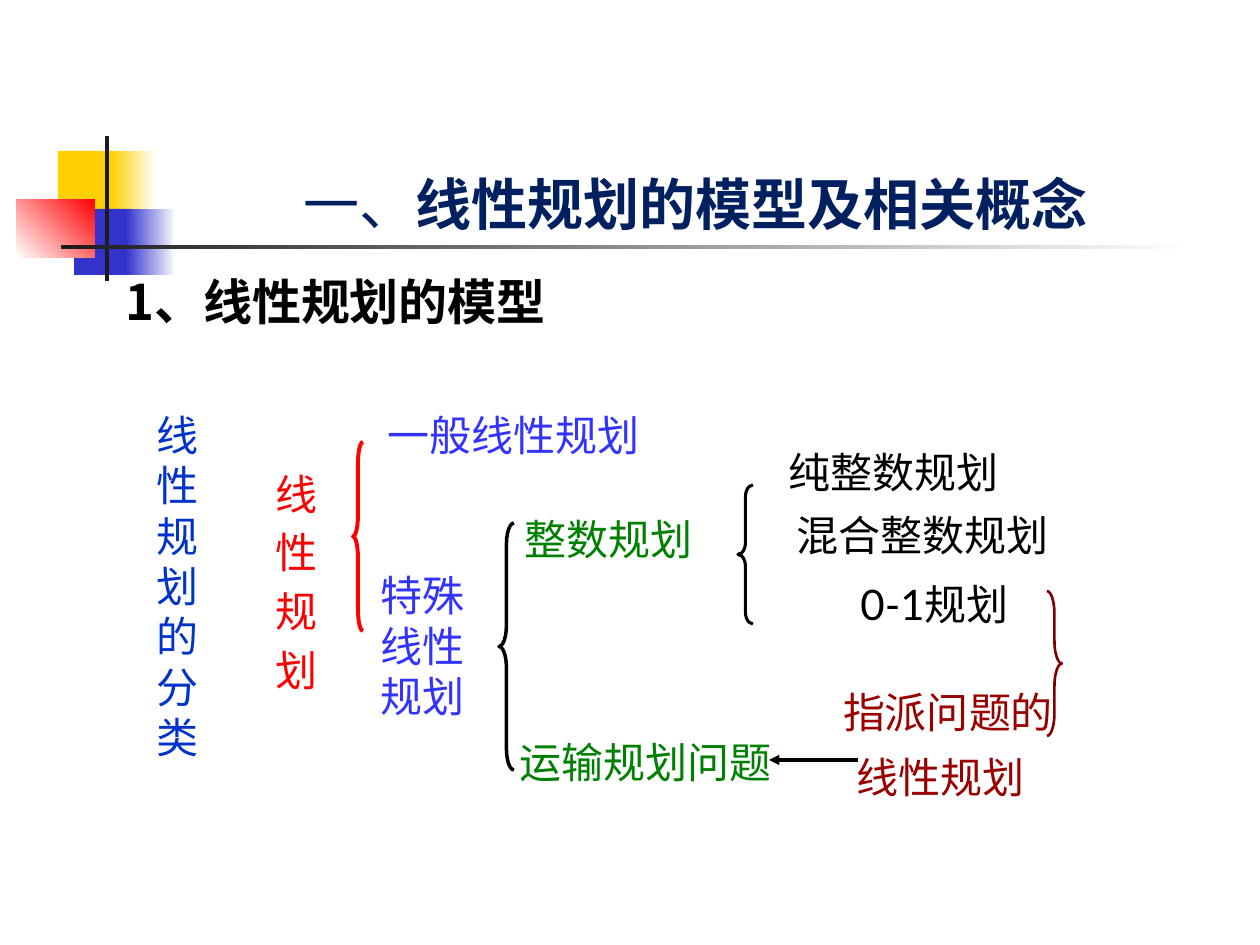
from dataclasses import dataclass

from lxml import etree
from pptx import Presentation
from pptx import util as u
from pptx.dml.color import RGBColor
from pptx.enum import shapes, text
from pptx.oxml import ns

PX = 914400 / 126


@dataclass(frozen=True)
class Theme:
    """Colours, fonts and type sizes of the slide."""
    yellow: str = "FFCF01"
    indigo: str = "3333CC"
    white: str = "FFFFFF"
    red: str = "FF0000"
    bar: str = "1C1C1C"
    navy: str = "002060"
    topic: str = "0033CC"
    branch: str = "3333FF"
    green: str = "008000"
    crimson: str = "990000"
    maroon: str = "800000"
    black: str = "000000"
    latin: str = "Lato"
    cjk: str = "Noto Sans CJK SC"
    title: int = 32
    heading: int = 28
    body: int = 24


T = Theme()


def px(*lengths):
    """Turn pixel lengths into EMU."""
    return [u.Emu(round(n * PX)) for n in lengths]


def add_block(slide, box, start, end=None, angle=0):
    """Add a borderless rectangle, solid or fading from start to end."""
    block = slide.shapes.add_shape(shapes.MSO_SHAPE.RECTANGLE, *px(*box))
    block.shadow.inherit = False
    block.line.fill.background()
    if end is None:
        block.fill.solid()
        block.fill.fore_color.rgb = RGBColor.from_string(start)
        return
    block.fill.gradient()
    block.fill.gradient_angle = angle
    for stop, color in zip(block.fill.gradient_stops, (start, end)):
        stop.color.rgb = RGBColor.from_string(color)


def add_brace(slide, box, color, weight, curl, right=False):
    """Add a curly brace that groups neighbouring labels."""
    kind = shapes.MSO_SHAPE.RIGHT_BRACE if right else shapes.MSO_SHAPE.LEFT_BRACE
    brace = slide.shapes.add_shape(kind, *px(*box))
    brace.shadow.inherit = False
    brace.fill.background()
    brace.line.color.rgb = RGBColor.from_string(color)
    brace.line.width = u.Pt(weight)
    brace.adjustments[0] = curl
    brace.adjustments[1] = 0.5


def add_text(slide, box, paragraphs, color=T.black, size=T.body, font=T.latin, bold=False,
             wrap=False, grow=True, anchor="MIDDLE", align="LEFT", before=0, after=0):
    """Add text; a paragraph is a string or a list of (string, run overrides)."""
    frame = slide.shapes.add_textbox(*px(*box)).text_frame
    frame.word_wrap = wrap
    frame.auto_size = text.MSO_AUTO_SIZE.SHAPE_TO_FIT_TEXT if grow else text.MSO_AUTO_SIZE.NONE
    frame.vertical_anchor = text.MSO_ANCHOR[anchor]
    for index, content in enumerate(paragraphs):
        paragraph = frame.add_paragraph() if index else frame.paragraphs[0]
        paragraph.alignment = text.PP_ALIGN[align]
        paragraph.space_before, paragraph.space_after = u.Pt(before), u.Pt(after)
        for words, changes in [(content, {})] if isinstance(content, str) else content:
            style = {"color": color, "size": size, "bold": bold} | changes
            run = paragraph.add_run()
            run.text = words
            run.font.name = font
            run.font.size = u.Pt(style["size"])
            run.font.bold = style["bold"]
            run.font.color.rgb = RGBColor.from_string(style["color"])
            east_asian = etree.SubElement(run.font._element, ns.qn("a:ea"))
            east_asian.set("typeface", T.latin)


def add_arrow(slide, start, end, color, weight):
    """Add a straight arrow pointing at end."""
    arrow = slide.shapes.add_connector(shapes.MSO_CONNECTOR.STRAIGHT, *px(*start, *end))
    arrow.line.color.rgb = RGBColor.from_string(color)
    arrow.line.width = u.Pt(weight)
    etree.SubElement(arrow.line._get_or_add_ln(), ns.qn("a:tailEnd"), type="triangle")
    etree.SubElement(arrow._element.spPr, ns.qn("a:effectLst"))


def add_ornament(slide):
    """Add the coloured blocks and rules beside the title."""
    add_block(slide, (58, 151, 60, 66), T.yellow)
    add_block(slide, (111, 151, 45, 66), T.yellow, T.white)
    add_block(slide, (74, 209, 58, 66), T.indigo)
    add_block(slide, (126, 209, 50, 66), T.indigo, T.white)
    add_block(slide, (17, 199, 78, 59), T.white, T.red, angle=45)
    add_block(slide, (105, 136, 4, 145), T.bar)
    add_block(slide, (61, 245, 1134, 4), T.bar, T.white)


def add_headings(slide):
    """Add the title, the section heading and the topic column."""
    add_text(slide, (144, 403, 79, 369), ["线性规划的分类"], color=T.topic, font=T.cjk,
             wrap=True, anchor="TOP")
    add_text(slide, (159, 86, 1074, 157), [[("一、", {}), ("线性规划的模型及相关概念", {"bold": True})]],
             color=T.navy, size=T.title, font=T.cjk, wrap=True, grow=False,
             anchor="BOTTOM", align="CENTER", before=6, after=6)
    add_text(slide, (113, 265, 449, 72), ["1、线性规划的模型"], size=T.heading, font=T.cjk,
             bold=True, wrap=True, anchor="TOP", before=5.6)


def add_classification(slide):
    """Add the tree of kinds of linear programming."""
    spacer = (" ", {"size": T.title, "color": T.black})
    add_text(slide, (263, 462, 863, 476), list("线性规划"), color=T.red, wrap=True, grow=False,
             anchor="TOP", before=4.8)
    add_brace(slide, (353, 442, 10, 189), T.red, 2.25, 2.1)
    add_text(slide, (375, 403, 311, 64), ["一般线性规划"], color=T.branch)
    add_text(slide, (368, 563, 134, 165), ["特殊线性规划"], color=T.branch, wrap=True)
    add_brace(slide, (499, 523, 15, 247), T.black, 2, 1.41)
    add_text(slide, (512, 493, 213, 81), [[("整数规划", {}), spacer]], color=T.green)
    add_text(slide, (507, 730, 294, 64), ["运输规划问题"], color=T.green)
    add_text(slide, (776, 440, 251, 64), ["纯整数规划"])
    add_brace(slide, (738, 485, 15, 139), T.black, 1.75, 0.79)
    add_text(slide, (784, 489, 297, 81), [[("混合整数规划", {}), spacer]])
    add_text(slide, (848, 572, 185, 64), ["0-1规划"])
    add_text(slide, (829, 680, 238, 131), ["指派问题的", [("线性规划", {}), spacer]],
             color=T.crimson, align="CENTER")
    add_brace(slide, (1047, 591, 15, 145), T.maroon, 1.5, 1.52, right=True)
    add_arrow(slide, (858, 760), (769, 760), T.black, 1.75)


def main():
    """Build the slide and save it."""
    deck = Presentation()
    deck.slide_width, deck.slide_height = px(1260, 945)
    slide = deck.slides.add_slide(deck.slide_layouts[6])
    add_ornament(slide)
    add_headings(slide)
    add_classification(slide)
    deck.save("out.pptx")


if __name__ == "__main__":
    main()
